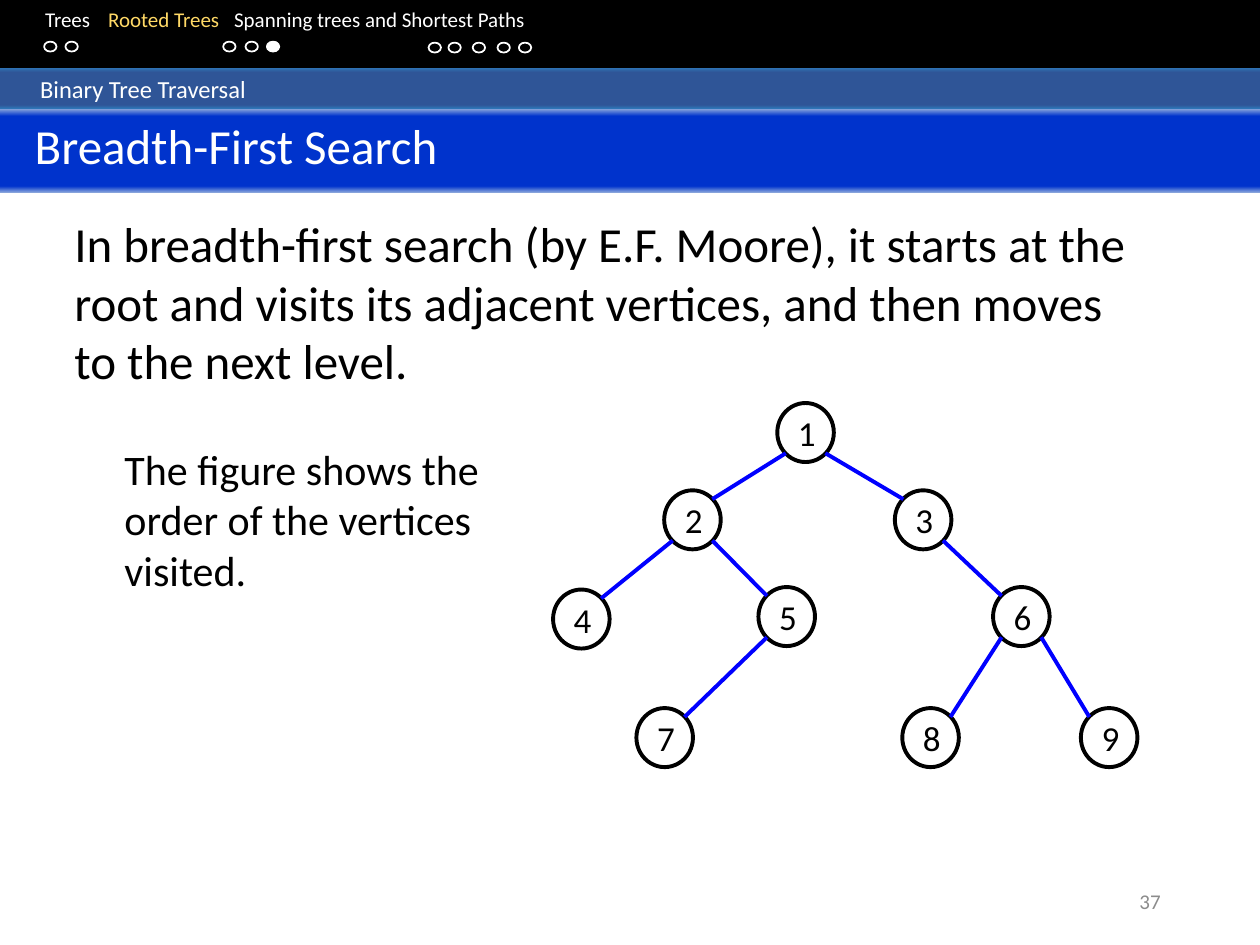
"""Build the breadth-first search slide with its numbered binary tree."""
from lxml import etree
from pptx import Presentation
from pptx.dml.color import RGBColor
from pptx.enum.shapes import MSO_CONNECTOR, MSO_SHAPE
from pptx.enum.text import MSO_ANCHOR, MSO_AUTO_SIZE, PP_ALIGN
from pptx.oxml.ns import qn
from pptx.util import Cm, Pt

RECTANGLE = MSO_SHAPE.RECTANGLE
OVAL = MSO_SHAPE.OVAL
STRAIGHT = MSO_CONNECTOR.STRAIGHT
TOP, MIDDLE = MSO_ANCHOR.TOP, MSO_ANCHOR.MIDDLE
LEFT, CENTER, RIGHT = PP_ALIGN.LEFT, PP_ALIGN.CENTER, PP_ALIGN.RIGHT
NO_FIT = MSO_AUTO_SIZE.NONE

NODE_WIDTH, NODE_HEIGHT = 1.14, 1.19
DIAGONAL = 0.35
NODES = {
    1: (16.24, 8.72), 2: (13.96, 10.48), 3: (18.61, 10.48),
    4: (11.72, 12.48), 5: (15.86, 12.43), 6: (20.59, 12.43),
    7: (13.4, 14.87), 8: (18.76, 14.87), 9: (22.36, 14.87),
}
EDGES = [(1, 2), (1, 3), (2, 4), (2, 5), (3, 6), (5, 7), (6, 8), (6, 9)]
SECTION_DOTS = [
    (0.84, [0.89, 1.32]),
    (0.84, [4.5, 4.95, 5.38]),
    (0.86, [8.64, 9.04, 9.53, 10.03, 10.46]),
]
CURRENT_DOT = 5.38


def color(value):
    return RGBColor.from_string(value)


class SlideBuilder:
    """Hold the style and the current slide, and add each kind of element."""

    def __init__(self, page, font="Calibri"):
        self.page = page
        self.font = font

    def place(self, box, left, top, width, height):
        box.left, box.top = Cm(left), Cm(top)
        box.width, box.height = Cm(width), Cm(height)

    def fill_text(self, box, runs, size, align=LEFT, anchor=TOP, inset=0.25, after=0, tabs=()):
        frame = box.text_frame
        frame.word_wrap = True
        frame.auto_size = NO_FIT
        frame.vertical_anchor = anchor
        frame.margin_left, frame.margin_right = Cm(inset), Cm(0.25)
        frame.margin_top = frame.margin_bottom = Cm(0.13)
        para = frame.paragraphs[0]
        para.alignment = align
        para.space_before, para.space_after = Pt(0), Pt(after)
        properties = para._p.get_or_add_pPr()
        properties.set("marL", "0")
        properties.set("indent", "0")
        etree.SubElement(properties, qn("a:buNone"))
        if tabs:
            stops = etree.SubElement(properties, qn("a:tabLst"))
            for position in tabs:
                etree.SubElement(stops, qn("a:tab"), pos=str(Cm(position)), algn="l")
        for text, shade in runs:
            span = para.add_run()
            span.text = text
            span.font.name = self.font
            span.font.size = Pt(size)
            span.font.color.rgb = color(shade)

    def gradient(self, box, stops):
        box.fill.gradient()
        box.fill.gradient_angle = 270
        stop_list = box._element.spPr.find(".//" + qn("a:gsLst"))
        stop_list.clear()
        for percent, shade in stops:
            stop = etree.SubElement(stop_list, qn("a:gs"), pos=str(percent * 1000))
            etree.SubElement(stop, qn("a:srgbClr"), val=shade)

    def shape(self, kind, area, fill=None, line=None, weight=1):
        box = self.page.shapes.add_shape(kind, *map(Cm, area))
        box.shadow.inherit = False
        if fill:
            box.fill.solid()
            box.fill.fore_color.rgb = color(fill)
        else:
            box.fill.background()
        if line:
            box.line.color.rgb = color(line)
            box.line.width = Pt(weight)
        else:
            box.line.fill.background()
        return box

    def text(self, area, runs, size, **style):
        box = self.page.shapes.add_textbox(*map(Cm, area))
        self.fill_text(box, runs, size, **style)

    def title(self, area, text, stops):
        box = self.page.shapes.title
        self.place(box, *area)
        self.gradient(box, stops)
        self.fill_text(box, [(text, "FFFFFF")], 28, inset=0.7)

    def body(self, area, text):
        box = self.page.placeholders[1]
        self.place(box, *area)
        self.fill_text(box, [(text, "000000")], 28, after=6)

    def node(self, number):
        x, y = NODES[number]
        area = (x - NODE_WIDTH / 2, y - NODE_HEIGHT / 2, NODE_WIDTH, NODE_HEIGHT)
        box = self.shape(OVAL, area, line="000000", weight=2.25)
        self.fill_text(box, [(str(number), "000000")], 20, CENTER, MIDDLE)

    def edge(self, parent, child):
        (x1, y1), (x2, y2) = NODES[parent], NODES[child]
        across = DIAGONAL * NODE_WIDTH * (1 if x2 > x1 else -1)
        down = DIAGONAL * NODE_HEIGHT
        ends = (x1 + across, y1 + down, x2 - across, y2 - down)
        line = self.page.shapes.add_connector(STRAIGHT, *map(Cm, ends))
        line.line.color.rgb = color("0000FF")
        line.line.width = Pt(2.25)
        etree.SubElement(line._element.spPr, qn("a:effectLst"))


def main():
    deck = Presentation()
    deck.slide_width, deck.slide_height = Cm(25.4), Cm(19.05)
    builder = SlideBuilder(deck.slides.add_slide(deck.slide_layouts[1]))

    builder.shape(RECTANGLE, (0, -0.05, 25.4, 1.42), fill="000000")
    sections = [("Trees", "FFFFFF"), ("\tRooted Trees", "FFD966"),
                ("\tSpanning trees and Shortest Paths", "FFFFFF")]
    builder.text((0, 0, 25.4, 1.27), sections, 12, inset=0.91, tabs=(3.64, 7.75))
    for top, lefts in SECTION_DOTS:
        for left in lefts:
            fill = "FFFFFF" if left == CURRENT_DOT else None
            builder.shape(OVAL, (left, top, 0.25, 0.2), fill=fill, line="FFFFFF")

    subtitle = builder.shape(RECTANGLE, (0, 1.37, 25.4, 0.82))
    builder.gradient(subtitle, [(0, "2E75B6"), (11, "2F5597"), (91, "2F5597"), (100, "2E75B6")])
    builder.fill_text(subtitle, [("Binary Tree Traversal", "FFFFFF")], 14, inset=0.81)
    builder.title((0, 2.19, 25.4, 1.7), "Breadth-First Search",
                  [(0, "8FAADC"), (9, "0033CC"), (92, "0033CC"), (100, "8FAADC")])

    builder.body((1.25, 4.17, 22.2, 3.83),
                 "In breadth-first search (by E.F. Moore), it starts at the root and visits "
                 "its adjacent vertices, and then moves to the next level.")
    builder.text((2.26, 8.81, 8.03, 3.33),
                 [("The figure shows the order of the vertices visited.", "000000")], 24, after=6)
    for number in NODES:
        builder.node(number)
    for parent, child in EDGES:
        builder.edge(parent, child)
    builder.text((17.93, 17.65, 5.72, 1.02), [("37", "8C8C8C")], 12, align=RIGHT, anchor=MIDDLE)
    deck.save("out.pptx")


if __name__ == "__main__":
    main()
